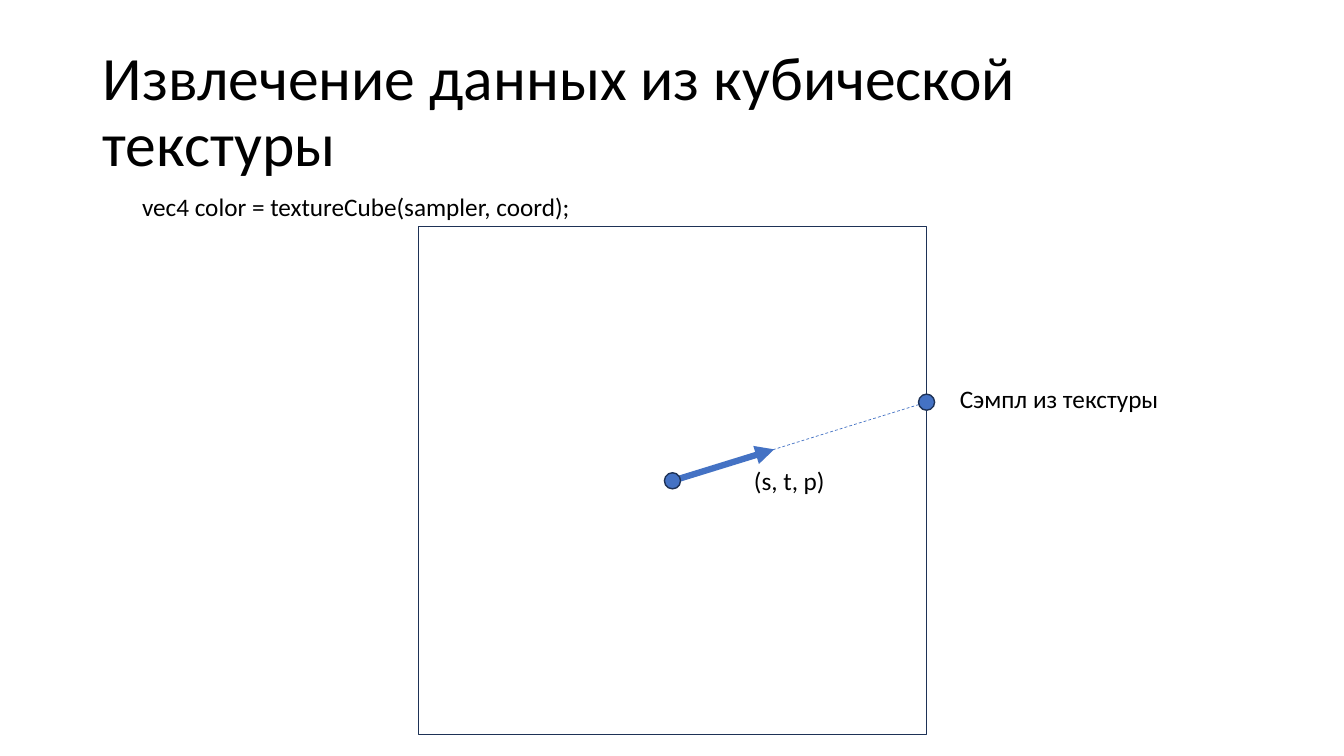
from pptx import Presentation
from pptx.dml.color import RGBColor
from pptx.enum.dml import MSO_LINE
from pptx.enum.shapes import MSO_CONNECTOR, MSO_SHAPE
from pptx.enum.text import MSO_ANCHOR
from pptx.oxml.ns import qn
from pptx.util import Inches, Pt
from lxml.etree import SubElement

COLORS = {"text": "000000", "accent": "4472C4", "outline": "1E3256"}


class Diagram:
    """Draws on one slide; lengths are percentages of its width and height."""

    font_name = "Calibri"
    outline_width = 1

    def __init__(self, presentation):
        self.width = presentation.slide_width
        self.height = presentation.slide_height
        self.shapes = presentation.slides.add_slide(presentation.slide_layouts[6]).shapes

    def to_emu(self, *lengths):
        """Convert alternating horizontal and vertical percentages."""
        sides = (self.width, self.height)
        return [round(length * sides[index % 2] / 100) for index, length in enumerate(lengths)]

    def color(self, name):
        return RGBColor.from_string(COLORS[name])

    def text(self, content, left, top, width, height, size=18, anchor=MSO_ANCHOR.TOP, spacing=1.0):
        shape = self.shapes.add_textbox(*self.to_emu(left, top, width, height))
        text_frame = shape.text_frame
        text_frame.word_wrap = True
        text_frame.vertical_anchor = anchor
        text_frame.text = content
        paragraph = text_frame.paragraphs[0]
        paragraph.line_spacing = spacing
        font = paragraph.runs[0].font
        font.name = self.font_name
        font.size = Pt(size)
        font.color.rgb = self.color("text")

    def centered_shape(self, kind, center, size, fill=None):
        left, top = (middle - length / 2 for middle, length in zip(center, size))
        shape = self.shapes.add_shape(kind, *self.to_emu(left, top, *size))
        shape.shadow.inherit = False
        if fill:
            shape.fill.solid()
            shape.fill.fore_color.rgb = self.color(fill)
        else:
            shape.fill.background()
        shape.line.color.rgb = self.color("outline")
        shape.line.width = Pt(self.outline_width)

    def dot(self, center):
        self.centered_shape(MSO_SHAPE.OVAL, center, (1.2, 2.13), "accent")

    def line(self, start, end, width, dash=None, arrow=False):
        connector = self.shapes.add_connector(MSO_CONNECTOR.STRAIGHT, *self.to_emu(*start, *end))
        connector.line.color.rgb = self.color("accent")
        connector.line.width = Pt(width)
        if dash:
            connector.line.dash_style = dash
        properties = connector._element.spPr
        if arrow:
            SubElement(properties.find(qn("a:ln")), qn("a:tailEnd"), type="triangle")
        SubElement(properties, qn("a:effectLst"))


def main():
    presentation = Presentation()
    presentation.slide_width = Inches(13.33)
    presentation.slide_height = Inches(7.5)
    diagram = Diagram(presentation)

    cube_size = (37.81, 67.2)
    center = (50.04, 63.6)
    sample = (center[0] + cube_size[0] / 2, 53.2)
    direction = [start + 0.4 * (end - start) for start, end in zip(center, sample)]

    diagram.text("Извлечение данных из кубической текстуры", 6.9, 5.33, 86.25, 19.33,
                 size=44, anchor=MSO_ANCHOR.MIDDLE, spacing=0.9)
    diagram.centered_shape(MSO_SHAPE.RECTANGLE, center, cube_size)
    diagram.line(center, direction, 4.5, arrow=True)
    diagram.text("(s, t, p)", 55.36, 60.93, 7.65, 5.33)
    diagram.line(center, sample, 0.5, dash=MSO_LINE.DASH)
    for point in (sample, center):
        diagram.dot(point)
    diagram.text("Сэмпл из текстуры", 70.67, 50, 18.9, 5.33)
    diagram.text("vec4 color = textureCube(sampler, coord);", 9.83, 24.67, 38.18, 5.33)

    presentation.save("out.pptx")


if __name__ == "__main__":
    main()
